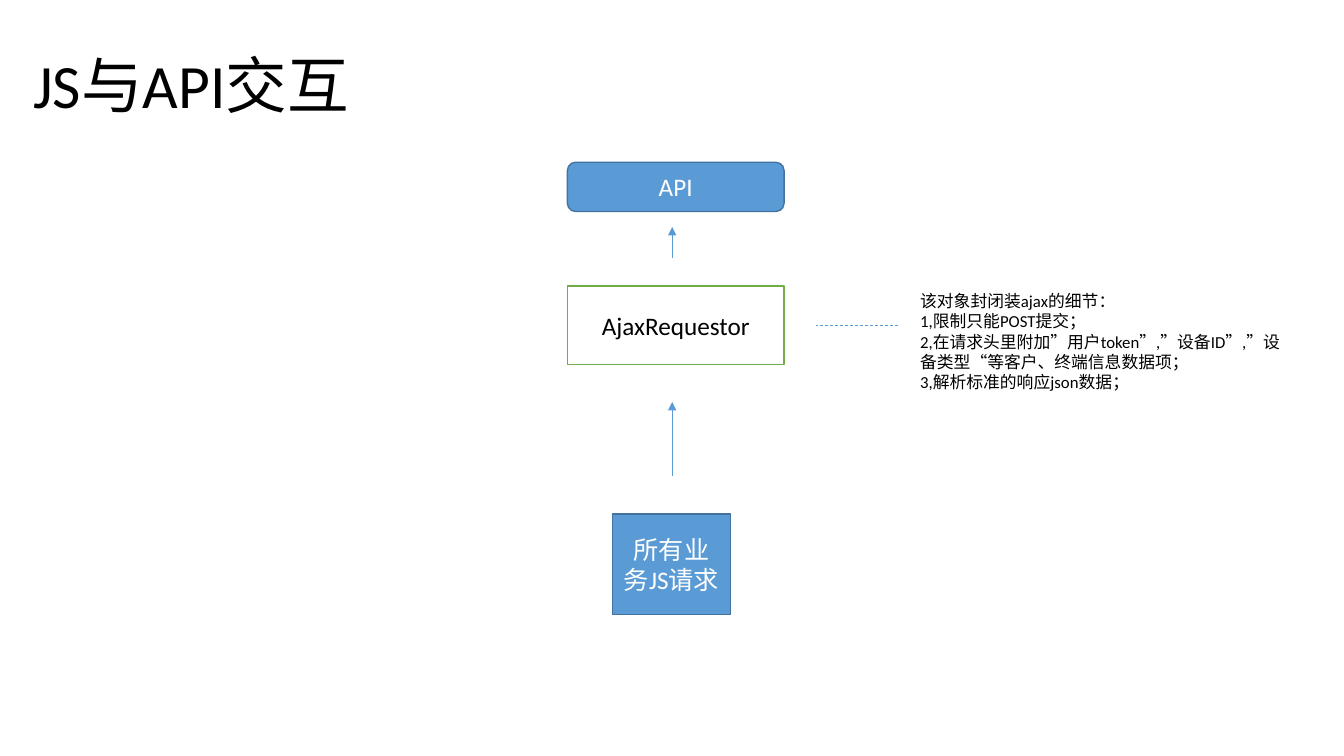
from dataclasses import dataclass

from lxml import etree
from pptx import Presentation
from pptx.dml.color import RGBColor
from pptx.enum.dml import MSO_LINE
from pptx.enum.shapes import MSO_CONNECTOR, MSO_SHAPE
from pptx.enum.text import MSO_ANCHOR, MSO_AUTO_SIZE, PP_ALIGN
from pptx.oxml.ns import qn
from pptx.util import Cm, Pt

RECT, ROUND = MSO_SHAPE.RECTANGLE, MSO_SHAPE.ROUNDED_RECTANGLE
STRAIGHT, DASH = MSO_CONNECTOR.STRAIGHT, MSO_LINE.DASH
LEFT, CENTER = PP_ALIGN.LEFT, PP_ALIGN.CENTER
TOP, MIDDLE = MSO_ANCHOR.TOP, MSO_ANCHOR.MIDDLE
FIXED, GROW = MSO_AUTO_SIZE.NONE, MSO_AUTO_SIZE.SHAPE_TO_FIT_TEXT


@dataclass
class Theme:
    """Colours, font and type sizes."""
    font: str = "Calibri"
    dark: str = "000000"
    light: str = "FFFFFF"
    blue: str = "5B9BD5"
    navy: str = "43739E"
    green: str = "70AD47"
    head: int = 44
    body: int = 18
    small: int = 12


def assign(target, values):
    """Set each named attribute on the target."""
    for name, value in values.items():
        setattr(target, name, value)


class Painter:
    """Draws styled elements on the current slide."""

    def __init__(self, slide, theme):
        """Keep the slide and its theme."""
        self.slide, self.theme = slide, theme

    def label(self, shape, lines, size, color, align=LEFT, frame=None):
        """Fill a shape with formatted paragraphs."""
        text = shape.text_frame
        text.text = "\n".join(lines)
        assign(text, {"word_wrap": True, "auto_size": FIXED,
                      "vertical_anchor": MIDDLE, **(frame or {})})
        for para in text.paragraphs:
            para.alignment = align
            assign(para.font, {"name": self.theme.font, "size": Pt(size)})
            para.font.color.rgb = RGBColor.from_string(color)

    def title(self, words, area):
        """Move and format the title placeholder."""
        shape = self.slide.shapes.title
        assign(shape, dict(zip(("left", "top", "width", "height"), map(Cm, area))))
        self.label(shape, [words], self.theme.head, self.theme.dark)
        shape.text_frame.paragraphs[0].line_spacing = 0.9

    def box(self, words, area, fill, edge, color, kind=RECT):
        """Add a filled shape with a centred label."""
        shape = self.slide.shapes.add_shape(kind, *map(Cm, area))
        shape.shadow.inherit = False
        shape.fill.solid()
        shape.fill.fore_color.rgb = RGBColor.from_string(fill)
        shape.line.color.rgb = RGBColor.from_string(edge)
        shape.line.width = Pt(1)
        self.label(shape, [words], self.theme.body, color, CENTER)

    def note(self, lines, area):
        """Add a small text box."""
        shape = self.slide.shapes.add_textbox(*map(Cm, area))
        self.label(shape, lines, self.theme.small, self.theme.dark,
                   frame={"vertical_anchor": TOP, "auto_size": GROW})

    def link(self, ends, arrow=True):
        """Add a thin arrow, or a dashed line without a head."""
        line = self.slide.shapes.add_connector(STRAIGHT, *map(Cm, ends))
        line.line.color.rgb = RGBColor.from_string(self.theme.blue)
        line.line.width = Pt(0.5)
        props = line.element.spPr
        if arrow:
            etree.SubElement(props.find(qn("a:ln")), qn("a:tailEnd"), type="triangle")
        else:
            line.line.dash_style = DASH
        etree.SubElement(props, qn("a:effectLst"))


def main():
    """Build the slide and save it."""
    deck = Presentation()
    assign(deck, {"slide_width": Cm(33.87), "slide_height": Cm(19.05)})
    theme = Theme()
    page = Painter(deck.slides.add_slide(deck.slide_layouts[5]), theme)

    page.title("JS与API交互", (0.58, 0.38, 29.21, 3.68))

    left, wide, mid = 14.3, 5.46, 16.94
    page.box("API", (left, 4.09, wide, 1.24),
             theme.blue, theme.navy, theme.light, ROUND)
    page.box("AjaxRequestor", (left, 7.21, wide, 1.98),
             theme.light, theme.green, theme.dark)
    page.box("所有业务JS请求", (15.44, 12.95, 2.97, 2.54),
             theme.blue, theme.navy, theme.light)

    for start, end in ((11.99, 10.13), (6.5, 5.72)):
        page.link((mid, start, mid, end))

    page.note(["该对象封闭装ajax的细节：",
               "1,限制只能POST提交；",
               "2,在请求头里附加”用户token”,”设备ID”,”设备类型“等客户、终端信息数据项；",
               "3,解析标准的响应json数据；"],
              (22.94, 7.21, 9.75, 2.82))
    page.link((22.63, 8.2, 20.57, 8.2), arrow=False)

    deck.save("out.pptx")


main()
